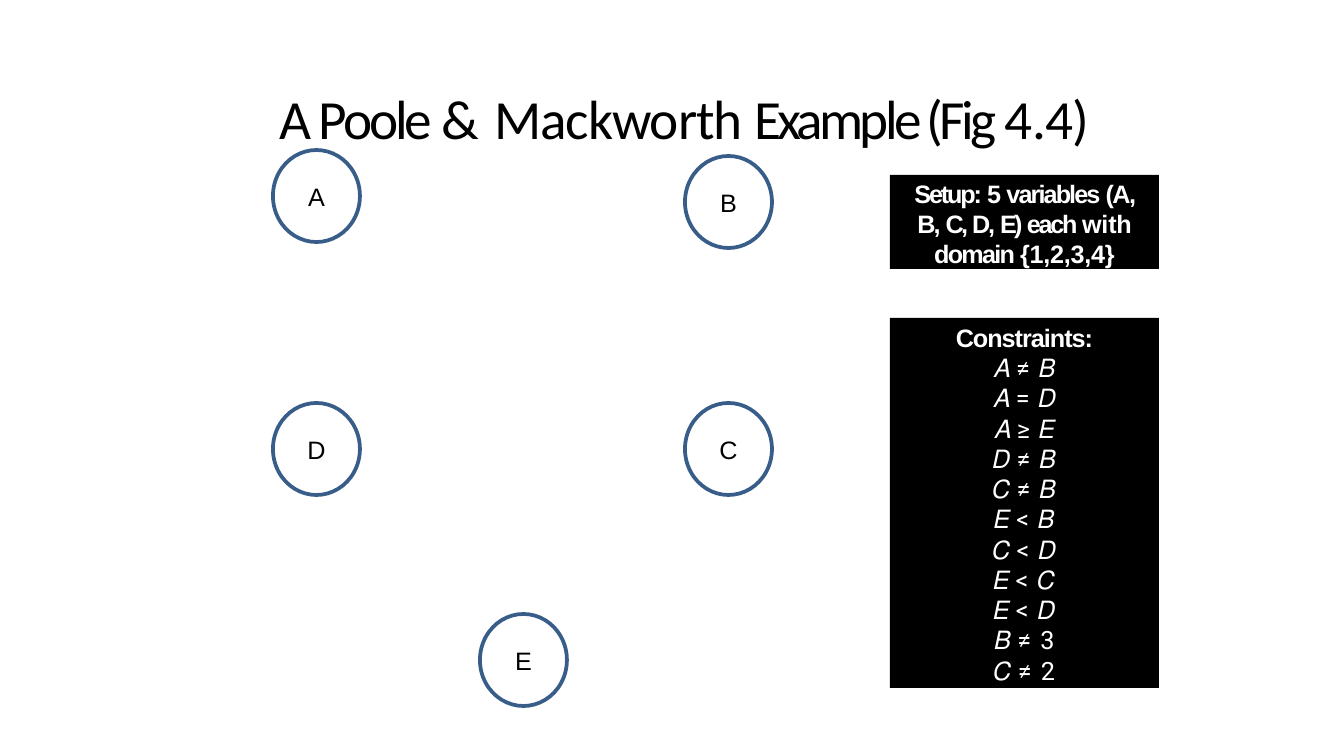
from dataclasses import dataclass

from pptx import Presentation
from pptx import util as u
from pptx.dml.color import RGBColor
from pptx.enum import shapes, text

SCALE = 914400 / 134.4
BLACK, WHITE, BLUE = "000000", "FFFFFF", "385D89"


@dataclass
class Box:
    """A place on the slide, in pixels."""
    left: int
    top: int
    width: int
    height: int


@dataclass
class Node:
    """A variable of the graph, with its circle's corner in pixels."""
    name: str
    left: int
    top: int


TITLE = [("A ", -2.6), ("Poole ", -1.7), ("& ", .6), ("Mackworth ", -.6),
         ("Example (Fig ", -2), ("4.4)", -.4)]
SETUP = [("Setup: ", -1.1), ("5 ", -.8), ("variables ", -1), ("(A, ", -.8),
         ("B, ", -1), ("C, ", -1.5), ("D, ", -1.1), ("E) ", -1.4),
         ("each ", -1.2), ("with ", -.1), ("domain ", -.9), ("{1,2,3,4}", -.1)]
RULES = ["𝐴 ≠ 𝐵", "𝐴 = 𝐷", "𝐴 ≥ 𝐸", "𝐷 ≠ 𝐵", "𝐶 ≠ 𝐵", "𝐸 < 𝐵",
         "𝐶 < 𝐷", "𝐸 < 𝐶", "𝐸 < 𝐷", "𝐵 ≠ 3", "𝐶 ≠ 2"]
NODES = [Node("A", 273, 150), Node("B", 685, 156), Node("C", 685, 403),
         Node("E", 480, 614), Node("D", 273, 403)]


def px(n: float) -> int:
    """Turn pixels into EMU."""
    return round(n * SCALE)


def color(code: str) -> RGBColor:
    """Turn a hex string into a colour."""
    return RGBColor.from_string(code)


def place(shape, box: Box) -> None:
    """Move and size a shape."""
    shape.left, shape.top = px(box.left), px(box.top)
    shape.width, shape.height = px(box.width), px(box.height)


def frame(shape, anchor, top: int = 0, side: int = 0):
    """Set wrapping, anchor and insets, and return the text frame."""
    body = shape.text_frame
    body.word_wrap, body.auto_size = True, text.MSO_AUTO_SIZE.NONE
    body.vertical_anchor = anchor
    body.margin_left = body.margin_right = px(side)
    body.margin_top, body.margin_bottom = px(top), 0
    return body


def write(para, parts: list, size: float, code: str, face: str = "Arial",
          bold: bool = False, before: float = 0) -> None:
    """Fill a centred paragraph with (words, letter spacing) parts."""
    para.alignment = text.PP_ALIGN.CENTER
    para.space_before = u.Pt(before)
    font = para.font
    font.size, font.name, font.bold = u.Pt(size), face, bold
    font.color.rgb = color(code)
    for words, gap in parts:
        run = para.add_run()
        run.text = words
        run._r.get_or_add_rPr().set("spc", str(round(gap * 100)))


def panel(slide, box: Box, top: int, side: int = 0):
    """Draw a black panel and return its text frame."""
    rect = slide.shapes.add_shape(shapes.MSO_SHAPE.RECTANGLE, 0, 0, 0, 0)
    place(rect, box)
    rect.shadow.inherit = False
    rect.fill.solid()
    rect.fill.fore_color.rgb = color(BLACK)
    rect.line.fill.background()
    return frame(rect, text.MSO_ANCHOR.TOP, top, side)


def circle(slide, node: Node) -> None:
    """Draw a labelled node."""
    oval = slide.shapes.add_shape(shapes.MSO_SHAPE.OVAL, 0, 0, 0, 0)
    place(oval, Box(node.left, node.top, 87, 92))
    oval.shadow.inherit = False
    oval.fill.background()
    oval.line.color.rgb, oval.line.width = color(BLUE), u.Pt(2)
    body = frame(oval, text.MSO_ANCHOR.MIDDLE)
    write(body.paragraphs[0], [(node.name, 0)], 13.5, BLACK)


def main() -> None:
    """Build the slide and save it."""
    deck = Presentation()
    deck.slide_width, deck.slide_height = px(1344), px(756)
    slide = deck.slides.add_slide(deck.slide_layouts[5])

    title = slide.shapes.title
    place(title, Box(235, 82, 899, 69))
    body = frame(title, text.MSO_ANCHOR.MIDDLE, 1)
    write(body.paragraphs[0], TITLE, 29.6, BLACK, "Calibri", before=1)

    setup = panel(slide, Box(890, 175, 269, 94), 3, 12)
    write(setup.paragraphs[0], SETUP, 13.5, WHITE, bold=True, before=1.6)

    rules = panel(slide, Box(890, 318, 269, 370), 4)
    write(rules.paragraphs[0], [("Constraints:", -.5)], 13.5, WHITE,
          bold=True, before=1.9)
    for rule in RULES:
        left, sign, right = rule.split()
        para = rules.add_paragraph()
        para.line_spacing = u.Pt(16.2)
        write(para, [(left + " ", 0), (sign + " ", .8), (right, -.4)],
              13.5, WHITE, "Roboto")

    for node in NODES:
        circle(slide, node)
    deck.save("out.pptx")


main()
